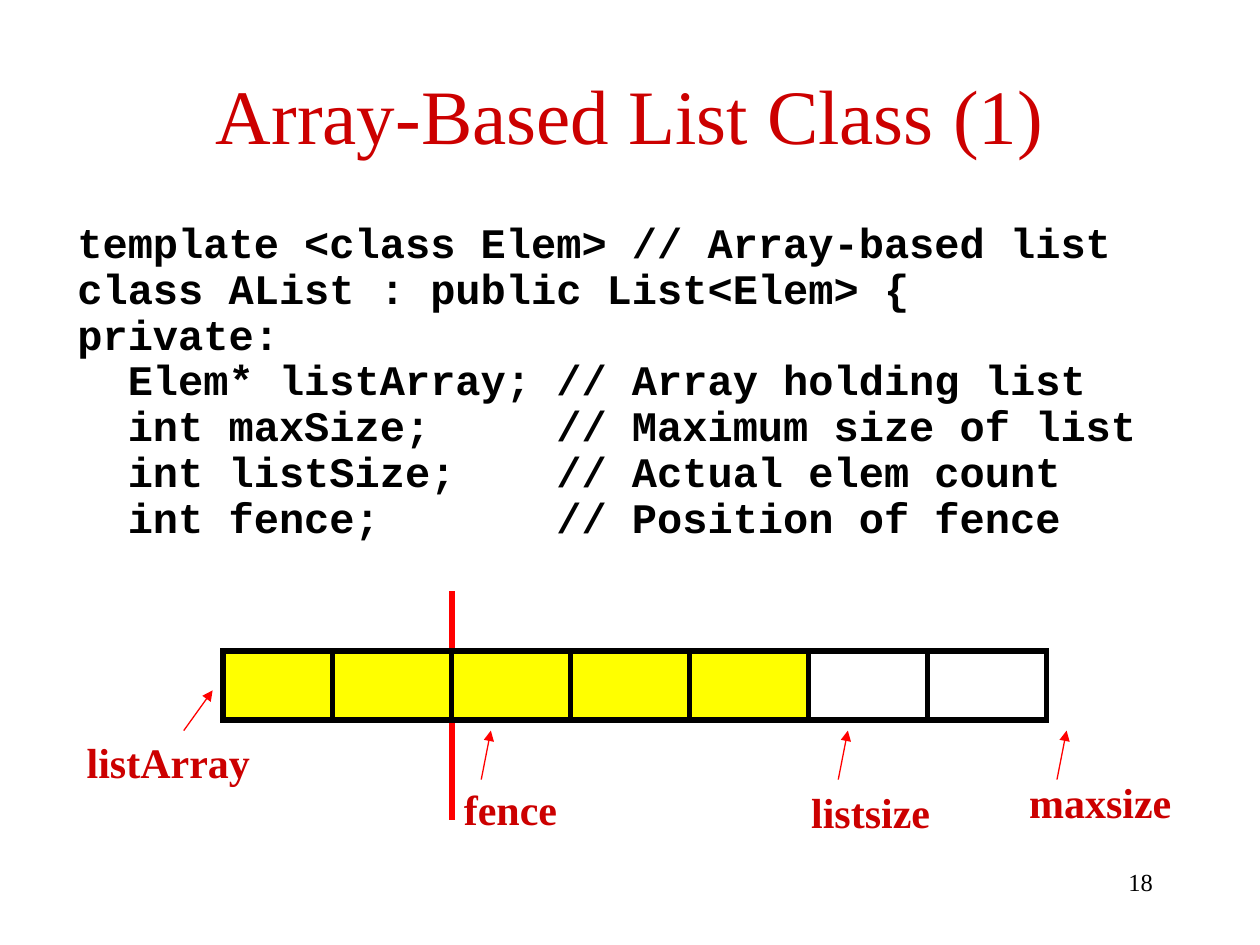
"""Build the slide that explains the array-based list class."""
from lxml.etree import SubElement
from pptx import Presentation
from pptx.dml.color import RGBColor
from pptx.enum.shapes import MSO_CONNECTOR, MSO_SHAPE
from pptx.enum.text import MSO_ANCHOR, MSO_AUTO_SIZE, PP_ALIGN
from pptx.oxml.ns import qn
from pptx.util import Pt

TITLE = "Array-Based List Class (1)"
CODE = [
    "template <class Elem> // Array-based list",
    "class AList : public List<Elem> {",
    "private:",
    "  Elem* listArray; // Array holding list",
    "  int maxSize;     // Maximum size of list",
    "  int listSize;    // Actual elem count",
    "  int fence;       // Position of fence",
]
PAGE_NUMBER = "18"
LABELS = [
    {"text": "listArray", "box": (42.5, 417.5, 108, 36), "arrow": (105, 417.5, 121.5, 394.5)},
    {"text": "fence", "box": (258, 444, 68, 36), "arrow": (275, 445.5, 280.5, 417.5)},
    {"text": "listsize", "box": (456.5, 446, 83, 36), "arrow": (479, 445.5, 484.5, 417.5)},
    {"text": "maxsize", "box": (581, 440, 97, 36), "arrow": (604, 445.5, 609.5, 417.5)},
]
ARRAY = {"first": 127.5, "second": 190, "top": 372, "width": 68, "height": 39.5,
         "cells": 7, "used": 5}
FENCE = (258.25, 338, 258.25, 468.5)
THEME = {
    "red": RGBColor(0xFF, 0, 0),
    "yellow": RGBColor(0xFF, 0xFF, 0),
    "black": RGBColor(0, 0, 0),
    "thick": 3,
    "thin": 0.75,
    "title": {"name": "Times New Roman", "size": Pt(44), "bold": False, "color": RGBColor(0xCC, 0, 0)},
    "code": {"name": "Courier New", "size": Pt(24), "bold": True, "color": RGBColor(0, 0, 0)},
    "label": {"name": "Times New Roman", "size": Pt(24), "bold": True, "color": RGBColor(0xCC, 0, 0)},
    "number": {"name": "Times New Roman", "size": Pt(14), "bold": False, "color": RGBColor(0, 0, 0)},
}
CODE_PARAGRAPH = {"line_spacing": 0.7, "alignment": PP_ALIGN.LEFT}


def place(box, left, top, width, height):
    box.left, box.top, box.width, box.height = map(Pt, (left, top, width, height))


def write(paragraph, text, style):
    span = paragraph.add_run()
    span.text = text
    for name, value in style.items():
        if name == "color":
            span.font.color.rgb = value
        else:
            setattr(span.font, name, value)


def add_label(page, text, bounds, style, alignment=PP_ALIGN.LEFT, wrap=False):
    box = page.shapes.add_textbox(*map(Pt, bounds))
    box.text_frame.word_wrap = wrap
    box.text_frame.auto_size = MSO_AUTO_SIZE.NONE if wrap else MSO_AUTO_SIZE.SHAPE_TO_FIT_TEXT
    paragraph = box.text_frame.paragraphs[0]
    paragraph.alignment = alignment
    write(paragraph, text, THEME[style])


def add_line(page, ends, weight, arrow=False):
    line = page.shapes.add_connector(MSO_CONNECTOR.STRAIGHT, *map(Pt, ends))
    line.line.color.rgb = THEME["red"]
    line.line.width = Pt(weight)
    if arrow:
        SubElement(line.line._get_or_add_ln(), qn("a:tailEnd"), type="triangle")
    SubElement(line._element.spPr, qn("a:effectLst"))


def add_title(page):
    title = page.shapes.title
    place(title, 36, 29, 648, 72)
    title.text_frame.auto_size = MSO_AUTO_SIZE.NONE
    title.text_frame.vertical_anchor = MSO_ANCHOR.MIDDLE
    paragraph = title.text_frame.paragraphs[0]
    paragraph.alignment = PP_ALIGN.CENTER
    write(paragraph, TITLE, THEME["title"])


def add_code(page):
    body = page.placeholders[1]
    place(body, 37, 128, 635, 209.5)
    frame = body.text_frame
    frame.auto_size = MSO_AUTO_SIZE.NONE
    frame.vertical_anchor = MSO_ANCHOR.TOP
    for index, text in enumerate(CODE):
        paragraph = frame.add_paragraph() if index else frame.paragraphs[0]
        properties = paragraph._p.get_or_add_pPr()
        properties.set("marL", str(Pt(27)))
        properties.set("indent", str(Pt(-27)))
        SubElement(properties, qn("a:buNone"))
        for name, value in CODE_PARAGRAPH.items():
            setattr(paragraph, name, value)
        paragraph.space_before = Pt(6 if index else 0)
        write(paragraph, text, THEME["code"])


def add_array(page):
    for index in range(ARRAY["cells"]):
        left = ARRAY["second"] + (index - 1) * ARRAY["width"] if index else ARRAY["first"]
        bounds = (left, ARRAY["top"], ARRAY["width"], ARRAY["height"])
        cell = page.shapes.add_shape(MSO_SHAPE.RECTANGLE, *map(Pt, bounds))
        cell.shadow.inherit = False
        cell.line.color.rgb = THEME["black"]
        cell.line.width = Pt(THEME["thick"])
        SubElement(cell.line._get_or_add_ln(), qn("a:miter"), lim="800000")
        if index < ARRAY["used"]:
            cell.fill.solid()
            cell.fill.fore_color.rgb = THEME["yellow"]
        else:
            cell.fill.background()


def main():
    deck = Presentation()
    deck.slide_width, deck.slide_height = Pt(720), Pt(540)
    page = deck.slides.add_slide(deck.slide_layouts[1])
    add_title(page)
    add_code(page)
    add_line(page, FENCE, THEME["thick"])
    add_array(page)
    for label in LABELS:
        add_label(page, label["text"], label["box"], "label")
        add_line(page, label["arrow"], THEME["thin"], arrow=True)
    add_label(page, PAGE_NUMBER, (516, 492, 150, 36), "number", PP_ALIGN.RIGHT, wrap=True)
    deck.save("out.pptx")


if __name__ == "__main__":
    main()
